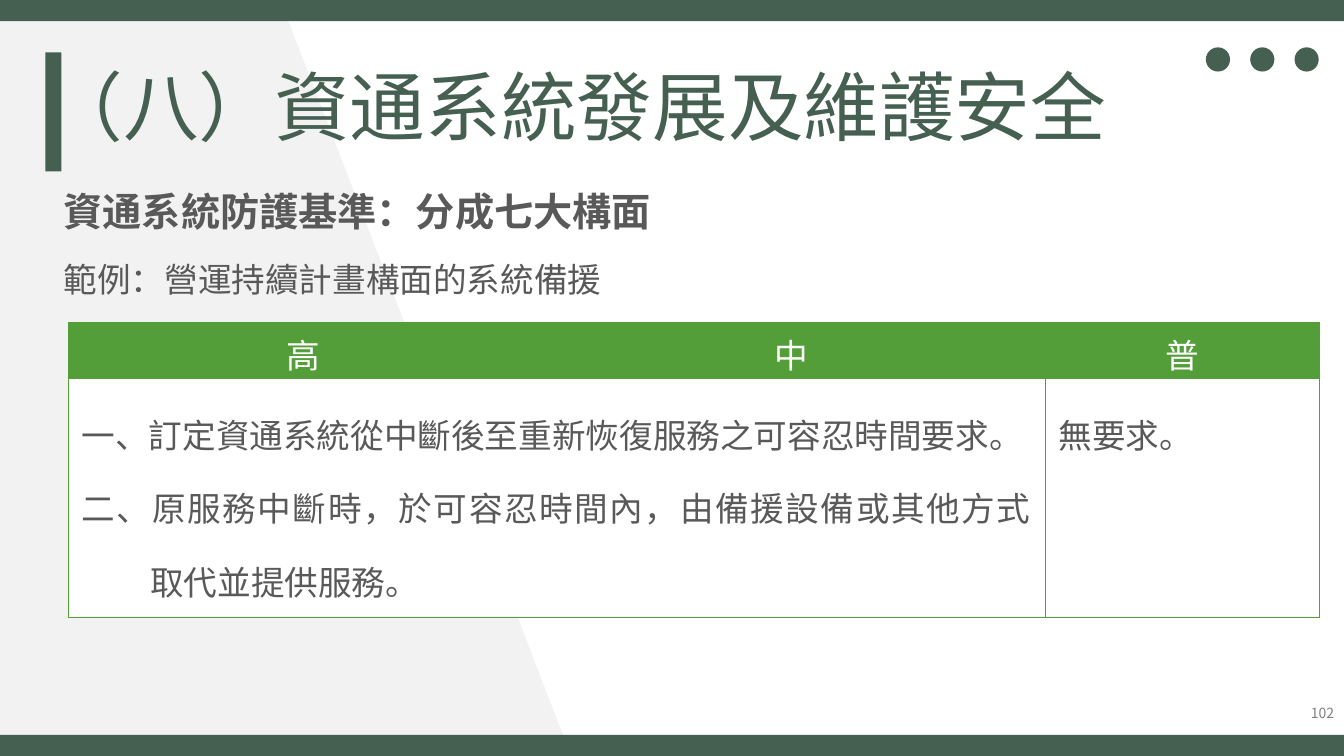
import dataclasses

import lxml.etree
import pptx
import pptx.dml.color
import pptx.enum.shapes
import pptx.enum.text
import pptx.oxml.ns
import pptx.util

SHAPE = pptx.enum.shapes.MSO_SHAPE
ALIGN = pptx.enum.text.PP_ALIGN
ANCHOR = pptx.enum.text.MSO_ANCHOR
Pt = pptx.util.Pt
Inches = pptx.util.Inches


@dataclasses.dataclass(frozen=True)
class Theme:
    dark: str = "455F51"
    green: str = "549E39"
    pale: str = "F2F2F2"
    white: str = "FFFFFF"
    ink: str = "595959"
    muted: str = "808080"
    font: str = "Noto Sans CJK JP"
    number_font: str = "Noto Sans CJK SC"
    title: int = 54
    lead: int = 28
    body: int = 24
    number: int = 10


THEME = Theme()


def rgb(color):
    return pptx.dml.color.RGBColor.from_string(color)


def child(parent, tag, **attributes):
    return lxml.etree.SubElement(parent, pptx.oxml.ns.qn(tag), **attributes)


def write(para, text, size=THEME.body, color=THEME.ink, font=THEME.font, bold=False,
          align=ALIGN.LEFT, spacing=None, before=0, hanging=0, level=0):
    properties = para._p.get_or_add_pPr()
    properties.set("marL", str(Inches(hanging)))
    properties.set("indent", str(-Inches(hanging)))
    child(properties, "a:buNone")
    para.level = level
    para.alignment = align
    para.line_spacing = spacing
    para.space_before = Pt(before)
    for index, line in enumerate(text.split("\n")):
        if index:
            para.add_line_break()
        span = para.add_run()
        span.text = line
        span.font.size = Pt(size)
        span.font.bold = bold
        span.font.name = font
        span.font.color.rgb = rgb(color)
        child(span._r.get_or_add_rPr(), "a:ea", typeface=font)


class Page:
    def __init__(self, deck, theme):
        self.theme = theme
        self.width, self.height = deck.slide_width, deck.slide_height
        self.slide = deck.slides.add_slide(deck.slide_layouts[1])
        self.shapes = self.slide.shapes

    def across(self, percent):
        return round(self.width * percent / 100)

    def down(self, percent):
        return round(self.height * percent / 100)

    def area(self, left, top, width, height):
        return self.across(left), self.down(top), self.across(width), self.down(height)

    def paint(self, shape, color):
        shape.shadow.inherit = False
        shape.fill.solid()
        shape.fill.fore_color.rgb = rgb(color)
        shape.line.fill.background()

    def block(self, kind, area, color):
        self.paint(self.shapes.add_shape(kind, *self.area(*area)), color)

    def outline(self, points, color):
        corners = [(self.across(x), self.down(y)) for x, y in points]
        builder = self.shapes.build_freeform(*corners[0], scale=1.0)
        builder.add_line_segments(corners[1:], close=True)
        self.paint(builder.convert_to_shape(), color)

    def fill_frame(self, frame, lines, anchor=ANCHOR.TOP):
        frame.word_wrap = True
        frame.auto_size = pptx.enum.text.MSO_AUTO_SIZE.NONE
        frame.vertical_anchor = anchor
        for index, (text, style) in enumerate(lines):
            para = frame.add_paragraph() if index else frame.paragraphs[0]
            write(para, text, **style)

    def placeholder(self, index, area, lines):
        box = self.slide.placeholders[index]
        box.left, box.top, box.width, box.height = self.area(*area)
        self.shapes._spTree.append(box._element)
        self.fill_frame(box.text_frame, lines)

    def label(self, area, text, **style):
        box = self.shapes.add_textbox(*self.area(*area))
        self.fill_frame(box.text_frame, [(text, style)], ANCHOR.MIDDLE)

    def cell(self, cell, lines, fill, bottom):
        cell.margin_left = cell.margin_right = Inches(0.13)
        cell.margin_top, cell.margin_bottom = Inches(0.07), Inches(bottom)
        for side in ("a:lnL", "a:lnR", "a:lnT", "a:lnB"):
            line = child(cell._tc.get_or_add_tcPr(), side, w=str(Pt(1)))
            child(child(line, "a:solidFill"), "a:srgbClr", val=self.theme.green)
        cell.fill.solid()
        cell.fill.fore_color.rgb = rgb(fill)
        for index, (text, style) in enumerate(lines):
            para = cell.text_frame.add_paragraph() if index else cell.text_frame.paragraphs[0]
            write(para, text, **style)

    def table(self, left, top, columns, rows, headings, entries):
        area = self.area(left, top, sum(columns), sum(rows))
        table = self.shapes.add_table(len(rows), len(columns), *area).table
        table.horz_banding = False
        for column, width in zip(table.columns, columns):
            column.width = self.across(width)
        for row, height in zip(table.rows, rows):
            row.height = self.down(height)
        heading_style = dict(color=self.theme.white, align=ALIGN.CENTER)
        for index, heading in enumerate(headings):
            self.cell(table.cell(0, index), [(heading, heading_style)], self.theme.green, 0)
        for index, lines in enumerate(entries):
            self.cell(table.cell(1, index), lines, self.theme.white, 0.07)
        table.cell(1, 0).merge(table.cell(1, 1))


def main():
    deck = pptx.Presentation()
    deck.slide_width, deck.slide_height = Inches(13.33), Inches(7.5)
    page = Page(deck, THEME)

    page.outline([(0, -0.27), (0, 99.6), (42.46, 99.87), (20.86, 0)], THEME.pale)
    page.block(SHAPE.RECTANGLE, (3.38, 6.93, 1.2, 15.73), THEME.dark)
    for top in (0, 97.2):
        page.block(SHAPE.RECTANGLE, (0, top, 100, 2.8), THEME.dark)
    for dot in range(3):
        page.block(SHAPE.OVAL, (89.72 + 3.3 * dot, 6.27, 1.8, 3.2), THEME.dark)

    page.placeholder(0, (2.78, 8.67, 92.72, 19.33), [
        ("（八）資通系統發展及維護安全",
         dict(size=THEME.title, color=THEME.dark, spacing=0.9)),
    ])
    body = dict(align=ALIGN.JUSTIFY, spacing=Pt(36))
    page.placeholder(1, (3.98, 23.73, 89.2, 18.93), [
        ("資通系統防護基準：分成七大構面", dict(body, size=THEME.lead, bold=True)),
        ("範例：營運持續計畫構面的系統備援", dict(body, before=10, level=1)),
    ])

    entry = dict(align=ALIGN.JUSTIFY, spacing=1.5)
    numbered = dict(entry, hanging=0.68)
    page.table(
        5.1, 42.67, (34.88, 37.81, 20.4), (7.4, 31.6), ("高", "中", "普"),
        [
            [("一、訂定資通系統從中斷後至重新恢復服務之可容忍時間要求。", numbered),
             ("二、原服務中斷時，於可容忍時間內，由備援設備或其他方式\n取代並提供服務。", numbered)],
            [],
            [("無要求。", entry)],
        ],
    )
    page.label((84.62, 92.53, 15.38, 3.6), "102", size=THEME.number, color=THEME.muted,
               font=THEME.number_font, align=ALIGN.RIGHT)
    deck.save("out.pptx")


if __name__ == "__main__":
    main()
